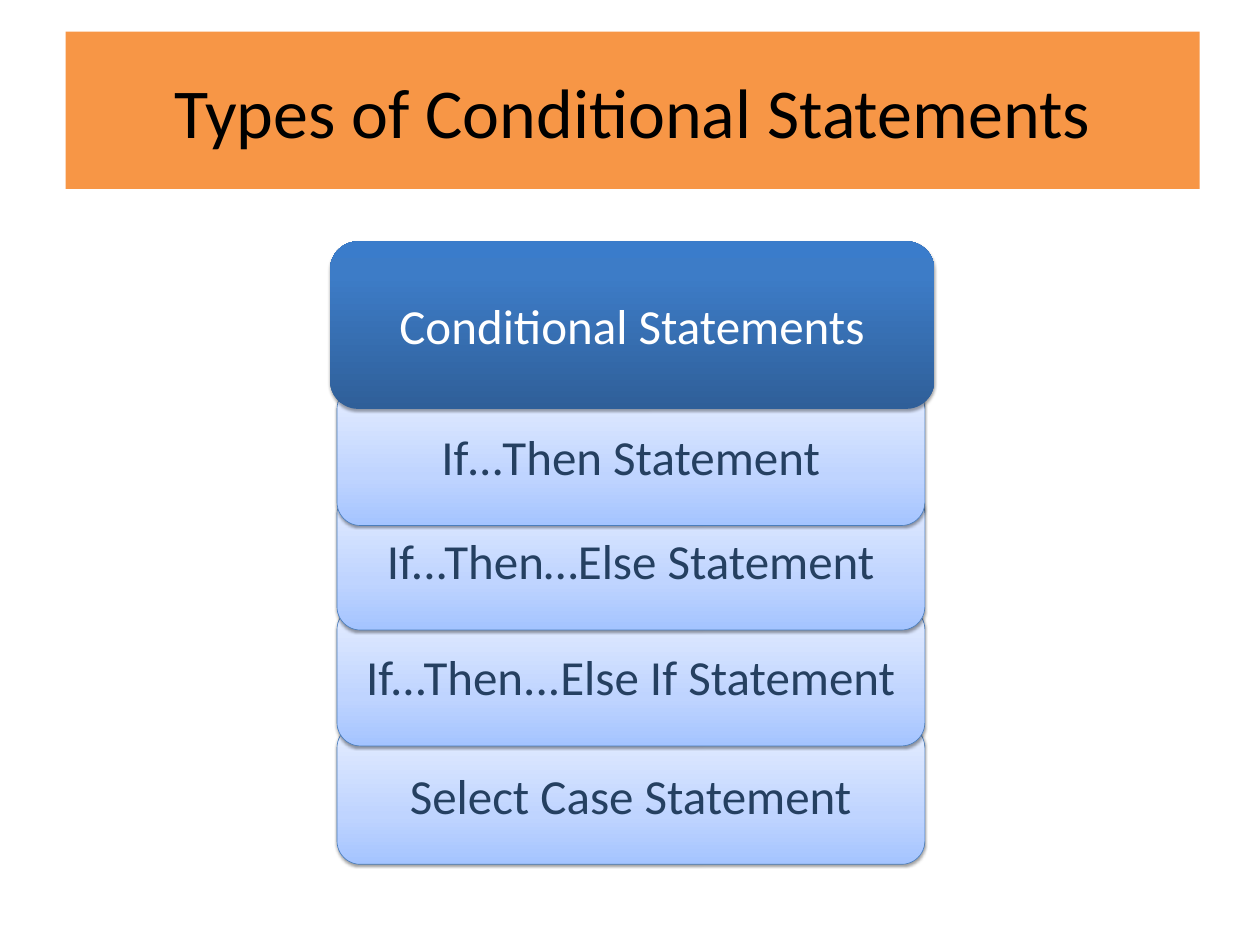
from collections import namedtuple

from lxml.etree import SubElement
from pptx import Presentation
from pptx.dml.color import RGBColor
from pptx.enum.shapes import MSO_SHAPE
from pptx.enum.text import MSO_ANCHOR, MSO_AUTO_SIZE, PP_ALIGN
from pptx.oxml import parse_xml
from pptx.oxml.ns import nsdecls, qn
from pptx.util import Pt

Box = namedtuple("Box", "left top width height")

COLORS = {
    "banner": "F79646",
    "title": "000000",
    "head_text": "FFFFFF",
    "step_text": "254061",
    "step_line": "4B7EBC",
    "shadow": "000000",
    "head_dark": "2F5F99",
    "head_mid": "3D7CC7",
    "head_light": "3A7CCB",
    "step_dark": "A4C4FF",
    "step_mid": "BFD4FF",
    "step_light": "E6EEFF",
}
HEAD_STOPS = [(0, "head_dark"), (80, "head_mid"), (100, "head_light")]
STEP_STOPS = [(0, "step_dark"), (35, "step_mid"), (100, "step_light")]
STEPS = [
    (165, "If…Then Statement"),
    (284.4, "If...Then…Else Statement"),
    (416.9, "If...Then...Else If Statement"),
    (552.2, "Select Case Statement"),
]


def rgb(name):
    return RGBColor.from_string(COLORS[name])


def write_text(shape, text, size, color, font="Calibri"):
    frame = shape.text_frame
    frame.word_wrap = True
    frame.auto_size = MSO_AUTO_SIZE.NONE
    frame.vertical_anchor = MSO_ANCHOR.MIDDLE
    frame.margin_left = frame.margin_right = Pt(14.4)
    frame.margin_top = frame.margin_bottom = Pt(7.2)
    para = frame.paragraphs[0]
    para.alignment = PP_ALIGN.CENTER
    span = para.add_run()
    span.text = text
    span.font.name = font
    span.font.size = Pt(size)
    span.font.color.rgb = rgb(color)


def fill_gradient(shape, stops):
    shape.fill.gradient()
    shape.fill.gradient_angle = 90
    stop_list = next(shape.element.spPr.iter(qn("a:gsLst")))
    for stop in list(stop_list):
        stop_list.remove(stop)
    for position, color in stops:
        stop = SubElement(stop_list, qn("a:gs"), pos=str(position * 1000))
        SubElement(stop, qn("a:srgbClr"), val=COLORS[color])


def cast_shadow(shape, alpha, distance):
    shape.shadow.inherit = False
    effects = shape.element.spPr.find(qn("a:effectLst"))
    shadow = SubElement(effects, qn("a:outerShdw"), blurRad=str(Pt(3.1)),
                        dist=str(Pt(distance)), dir="5400000", rotWithShape="0")
    color = SubElement(shadow, qn("a:srgbClr"), val=COLORS["shadow"])
    SubElement(color, qn("a:alpha"), val=str(alpha * 1000))


def add_card(page, box, text, stops, color, alpha, distance, line=None):
    card = page.shapes.add_shape(MSO_SHAPE.ROUNDED_RECTANGLE, *map(Pt, box))
    fill_gradient(card, stops)
    if line:
        card.line.color.rgb = rgb(line)
        card.line.width = Pt(0.75)
    else:
        card.line.fill.background()
    cast_shadow(card, alpha, distance)
    write_text(card, text, size=56, color=color)


def add_stack(page, box):
    for offset, text in reversed(STEPS):
        step_box = Box(box.left + 7.9, box.top + offset, 671.8, 159.8)
        add_card(page, step_box, text, STEP_STOPS, "step_text",
                 alpha=38, distance=1.6, line="step_line")
    head_box = box._replace(height=191.5)
    add_card(page, head_box, "Conditional Statements", HEAD_STOPS, "head_text",
             alpha=35, distance=1.8)


def add_banner(page, box):
    banner = page.shapes.title
    banner.left, banner.top, banner.width, banner.height = map(Pt, box)
    outline = parse_xml(f'<a:prstGeom {nsdecls("a")} prst="roundRect"><a:avLst/></a:prstGeom>')
    banner.element.spPr.insert(1, outline)
    banner.fill.solid()
    banner.fill.fore_color.rgb = rgb("banner")
    banner.line.fill.background()
    write_text(banner, "Types of Conditional Statements", size=80, color="title")


deck = Presentation()
deck.slide_width, deck.slide_height = Pt(1440), Pt(1080)
page = deck.slides.add_slide(deck.slide_layouts[5])
add_banner(page, Box(75, 36, 1296, 180))
add_stack(page, Box(377.3, 275.8, 690.5, 712))
deck.save("out.pptx")
